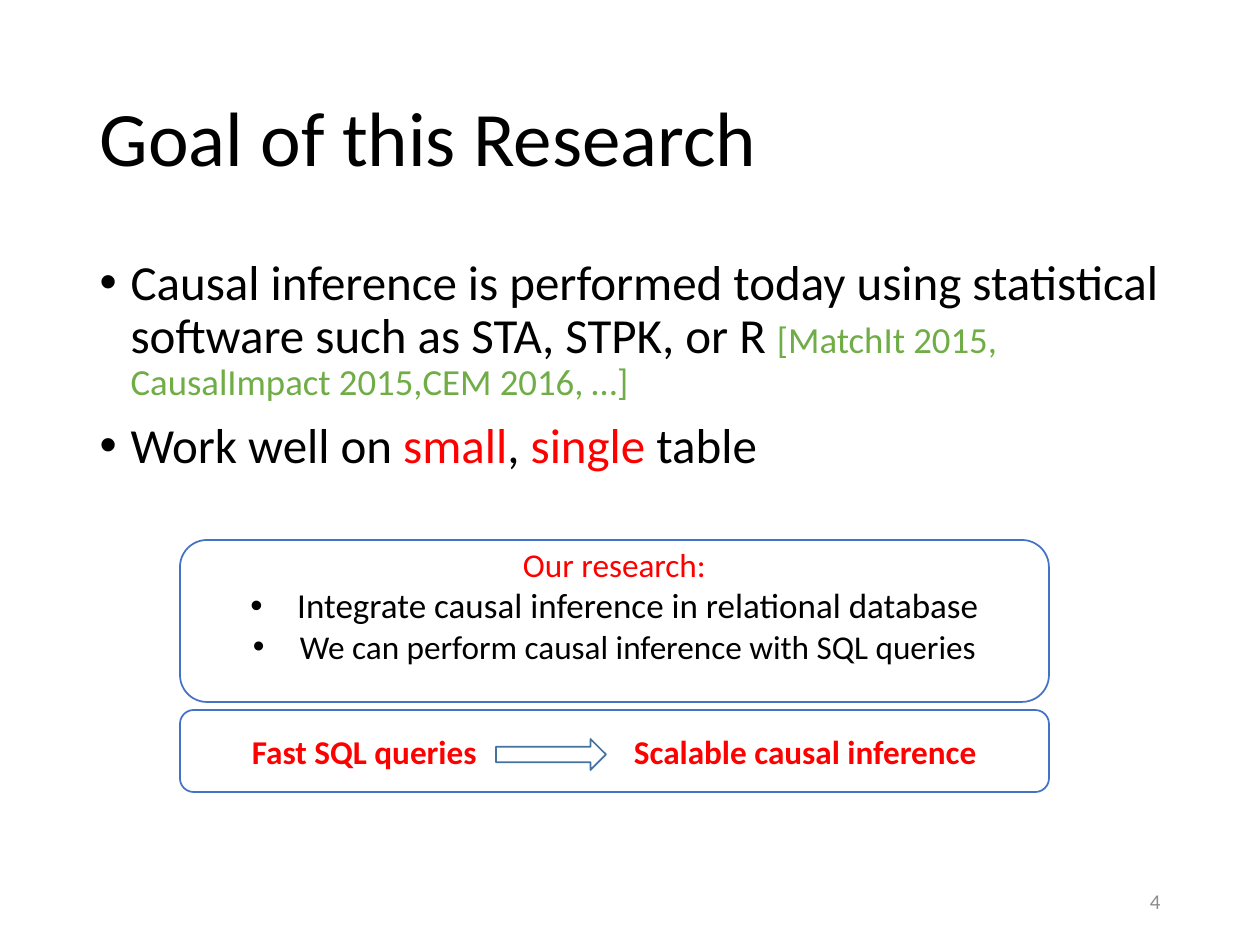
import pptx
import pptx.dml.color
import pptx.enum.shapes
import pptx.enum.text
import pptx.oxml
import pptx.oxml.ns
import pptx.util

COLORS = {
    "text": "000000",
    "citation": "70AD47",
    "accent": "FF0000",
    "panel": "FFFFFF",
    "border": "4472C4",
    "arrow": "43739E",
    "number": "8C8C8C",
}
SHAPES = pptx.enum.shapes.MSO_SHAPE
ALIGN = pptx.enum.text.PP_ALIGN
ANCHOR = pptx.enum.text.MSO_ANCHOR


def px(length):
    return pptx.util.Emu(round(length * 914400 / 126))


def rgb(name):
    return pptx.dml.color.RGBColor.from_string(COLORS[name])


def move(part, box):
    part.left, part.top, part.width, part.height = map(px, box)


def add_run(paragraph, text, size, color="text", bold=False):
    run = paragraph.add_run()
    run.text = text
    run.font.name = "Calibri"
    run.font.size = pptx.util.Pt(size)
    run.font.bold = bold
    run.font.color.rgb = rgb(color)


def add_property(paragraph, xml):
    namespace = pptx.oxml.ns.nsdecls("a")
    element = pptx.oxml.parse_xml(xml.replace("/>", f" {namespace}/>", 1)
                                  if xml.endswith("/>") and xml.count("<") == 1
                                  else xml.replace(">", f" {namespace}>", 1))
    paragraph._p.get_or_add_pPr().append(element)


def set_bullet(paragraph, indent):
    properties = paragraph._p.get_or_add_pPr()
    properties.set("marL", str(px(indent)))
    properties.set("indent", str(-px(indent)))
    add_property(paragraph, '<a:buFont typeface="Arial"/>')
    add_property(paragraph, '<a:buChar char="•"/>')


def next_paragraph(frame, index):
    return frame.add_paragraph() if index else frame.paragraphs[0]


def add_outlined(slide, preset, box, line):
    shape = slide.shapes.add_shape(preset, *map(px, box))
    shape.shadow.inherit = False
    shape.fill.solid()
    shape.fill.fore_color.rgb = rgb("panel")
    shape.line.color.rgb = rgb(line)
    shape.line.width = pptx.util.Pt(1)
    return shape


def fill_title(slide, box):
    title = slide.shapes.title
    move(title, box)
    frame = title.text_frame
    frame.vertical_anchor = ANCHOR.MIDDLE
    frame.auto_size = pptx.enum.text.MSO_AUTO_SIZE.NONE
    heading = frame.paragraphs[0]
    heading.alignment = ALIGN.LEFT
    heading.line_spacing = 0.9
    add_run(heading, "Goal of this Research", 44)


def fill_body(slide, box):
    body = slide.placeholders[1]
    move(body, box)
    frame = body.text_frame
    frame.auto_size = pptx.enum.text.MSO_AUTO_SIZE.NONE
    points = [
        [("Causal inference is performed today using statistical "
          "software such as STA, STPK, or R ", 28, "text"),
         ("[MatchIt 2015, CausalImpact 2015,CEM 2016, …]", 21, "citation")],
        [("Work well on ", 28, "text"), ("small", 28, "accent"),
         (", ", 28, "text"), ("single", 28, "accent"),
         (" table", 28, "text")],
    ]
    for index, runs in enumerate(points):
        point = next_paragraph(frame, index)
        point.line_spacing = 0.9
        point.space_before = pptx.util.Pt(10)
        set_bullet(point, 31)
        for text, size, color in runs:
            add_run(point, text, size, color)


def add_research_panel(slide, box):
    panel = add_outlined(slide, SHAPES.ROUNDED_RECTANGLE, box, "border")
    frame = panel.text_frame
    frame.word_wrap = True
    frame.vertical_anchor = ANCHOR.MIDDLE
    frame.margin_top = 0
    frame.margin_bottom = px(32)
    lines = [
        ("Our research:", 19, "accent", False),
        ("Integrate causal inference in relational database", 20, "text", True),
        ("We can perform causal inference with SQL queries", 19, "text", True),
    ]
    for index, (text, size, color, bulleted) in enumerate(lines):
        line = next_paragraph(frame, index)
        line.alignment = ALIGN.CENTER
        if bulleted:
            set_bullet(line, 47)
        add_run(line, text, size, color)


def add_outcome_panel(slide, box):
    left, top, width, height = box
    panel = add_outlined(slide, SHAPES.ROUNDED_RECTANGLE, box, "border")
    frame = panel.text_frame
    frame.word_wrap = True
    frame.vertical_anchor = ANCHOR.MIDDLE
    frame.margin_left = px(68)
    outcome = frame.paragraphs[0]
    outcome.alignment = ALIGN.LEFT
    add_property(outcome, f'<a:tabLst><a:tab pos="{px(382)}" algn="l"/></a:tabLst>')
    add_run(outcome, "Fast SQL queries\tScalable causal inference", 19, "accent", True)
    add_outlined(slide, SHAPES.RIGHT_ARROW, (left + 316, top + 29, 110, 31), "arrow")


def add_page_number(slide, box):
    frame = slide.shapes.add_textbox(*map(px, box)).text_frame
    frame.word_wrap = True
    frame.vertical_anchor = ANCHOR.MIDDLE
    number = frame.paragraphs[0]
    number.alignment = ALIGN.RIGHT
    add_run(number, "4", 12, "number")


def main():
    presentation = pptx.Presentation()
    presentation.slide_width = px(1260)
    presentation.slide_height = px(945)
    slide = presentation.slides.add_slide(presentation.slide_layouts[1])
    fill_title(slide, (87, 50, 1086, 183))
    fill_body(slide, (87, 252, 1086, 600))
    add_page_number(slide, (890, 876, 283, 50))
    add_research_panel(slide, (180, 540, 869, 162))
    add_outcome_panel(slide, (180, 710, 869, 82))
    presentation.save("out.pptx")


if __name__ == "__main__":
    main()
